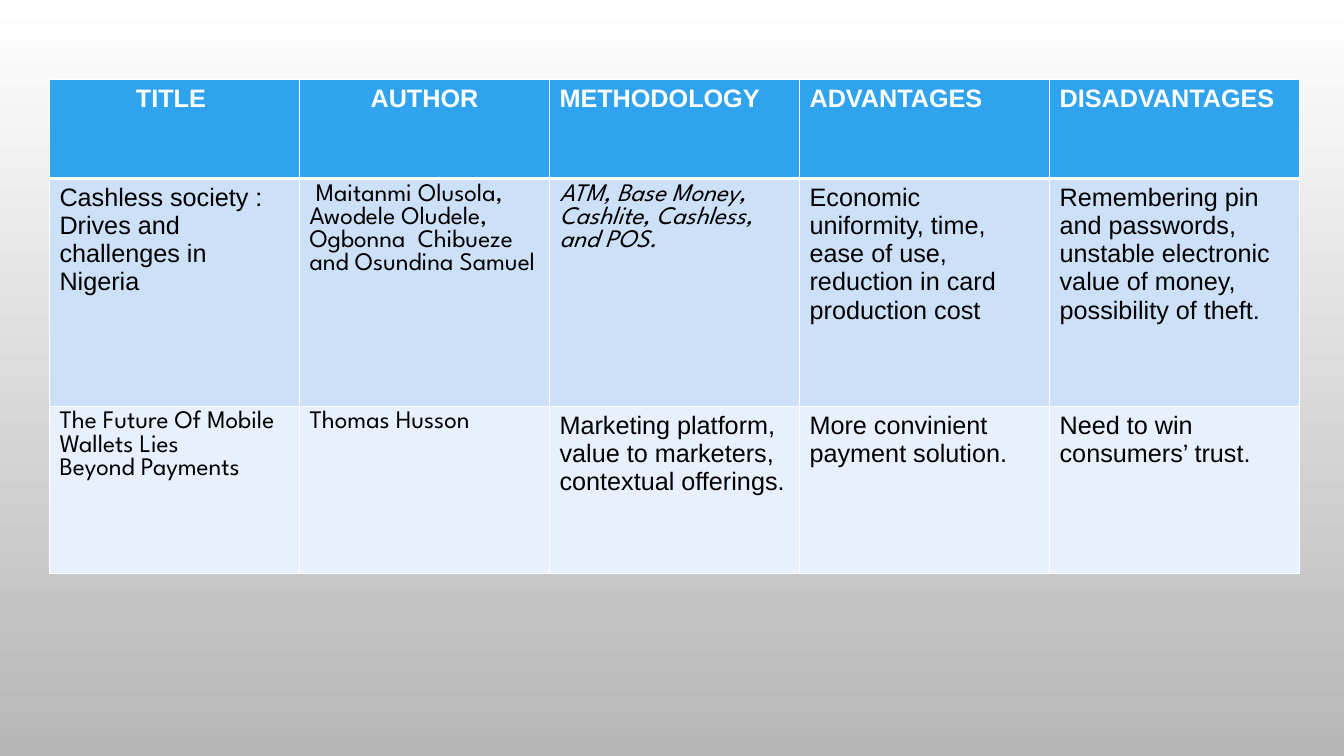
from dataclasses import dataclass

from lxml.etree import SubElement
from pptx import Presentation
from pptx.dml.color import RGBColor
from pptx.enum.text import PP_ALIGN as Align
from pptx.oxml.ns import qn
from pptx.slide import Slide
from pptx.table import Table, _Cell as Cell
from pptx.util import Inches, Pt


@dataclass(frozen=True)
class Theme:
    header: str = "2FA3EE"
    odd_row: str = "CCE0F8"
    even_row: str = "E7F0FC"
    light: str = "FFFFFF"
    dark: str = "000000"
    backdrop_end: str = "B7B7B7"
    font: str = "Arial"
    accent_font: str = "League Spartan"
    text_size: float = 18
    thin_line: float = 1
    header_line: float = 3


@dataclass(frozen=True)
class Entry:
    text: str
    font: str
    italic: bool = False
    align: Align = Align.LEFT


@dataclass(frozen=True)
class Band:
    """One table row with its height in inches and its colours."""
    height: float
    fill: str
    color: str
    entries: tuple[Entry, ...]
    bold: bool = False
    top_line: float = 1
    bottom_line: float = 1


THEME = Theme()
BODY, ACCENT = THEME.font, THEME.accent_font
TABLE_LEFT, TABLE_TOP, COLUMN_WIDTH = 0.49, 0.79, 2.48

BANDS = (
    Band(0.98, THEME.header, THEME.light, (
        Entry("TITLE ", BODY, align=Align.CENTER),
        Entry("AUTHOR", BODY, align=Align.CENTER),
        Entry("METHODOLOGY", BODY),
        Entry("ADVANTAGES", BODY),
        Entry("DISADVANTAGES", BODY),
    ), bold=True, bottom_line=THEME.header_line),
    Band(2.26, THEME.odd_row, THEME.dark, (
        Entry("Cashless society : Drives and challenges in Nigeria", BODY),
        Entry(" Maitanmi Olusola, Awodele Oludele, Ogbonna  Chibueze "
              "and Osundina Samuel", ACCENT),
        Entry("ATM, Base Money, Cashlite, Cashless, and POS.", ACCENT, italic=True),
        Entry("Economic uniformity, time, ease of use, reduction in card "
              "production cost", BODY),
        Entry("Remembering pin and passwords, unstable electronic value of "
              "money, possibility of theft.", BODY),
    ), top_line=THEME.header_line),
    Band(1.66, THEME.even_row, THEME.dark, (
        Entry("The Future Of Mobile Wallets Lies\nBeyond Payments", ACCENT),
        Entry("Thomas Husson", ACCENT),
        Entry("Marketing platform, value to marketers, contextual offerings.", BODY),
        Entry("More convinient payment solution.", BODY),
        Entry("Need to win consumers’ trust.", BODY),
    )),
)


def paint_background(slide: Slide) -> None:
    fill = slide.background.fill
    fill.gradient()
    fill.gradient_angle = 270
    for stop, color in zip(fill.gradient_stops, (THEME.light, THEME.backdrop_end)):
        stop.color.rgb = RGBColor.from_string(color)


def write_text(cell: Cell, text: str, *, font: str, color: str, bold: bool,
               italic: bool, align: Align) -> None:
    cell.text = text
    for paragraph in cell.text_frame.paragraphs:
        paragraph.alignment = align
        for run in paragraph.runs:
            run.font.name = font
            run.font.size = Pt(THEME.text_size)
            run.font.bold = bold
            run.font.italic = italic
            run.font.color.rgb = RGBColor.from_string(color)


def draw_borders(cell: Cell, top: float, bottom: float) -> None:
    """Add the four cell lines; call before the cell gets its fill."""
    properties = cell._tc.get_or_add_tcPr()
    widths = {"a:lnL": THEME.thin_line, "a:lnR": THEME.thin_line,
              "a:lnT": top, "a:lnB": bottom}
    for tag, width in widths.items():
        line = SubElement(properties, qn(tag), w=str(Pt(width)))
        solid = SubElement(line, qn("a:solidFill"))
        SubElement(solid, qn("a:srgbClr"), val=THEME.light)


def fill_row(table: Table, index: int, band: Band) -> None:
    table.rows[index].height = Inches(band.height)
    for column, entry in enumerate(band.entries):
        cell = table.cell(index, column)
        draw_borders(cell, band.top_line, band.bottom_line)
        cell.fill.solid()
        cell.fill.fore_color.rgb = RGBColor.from_string(band.fill)
        write_text(cell, entry.text, font=entry.font, color=band.color,
                   bold=band.bold, italic=entry.italic, align=entry.align)


def add_literature_table(slide: Slide) -> None:
    column_count = len(BANDS[0].entries)
    table = slide.shapes.add_table(
        len(BANDS), column_count, Inches(TABLE_LEFT), Inches(TABLE_TOP),
        Inches(COLUMN_WIDTH * column_count),
        Inches(sum(band.height for band in BANDS)),
    ).table
    for column in table.columns:
        column.width = Inches(COLUMN_WIDTH)
    for index, band in enumerate(BANDS):
        fill_row(table, index, band)


def main() -> None:
    deck = Presentation()
    deck.slide_width, deck.slide_height = Inches(13.33), Inches(7.5)
    blank_layout = deck.slide_layouts[6]
    slide = deck.slides.add_slide(blank_layout)
    paint_background(slide)
    add_literature_table(slide)
    deck.save("out.pptx")


if __name__ == "__main__":
    main()
